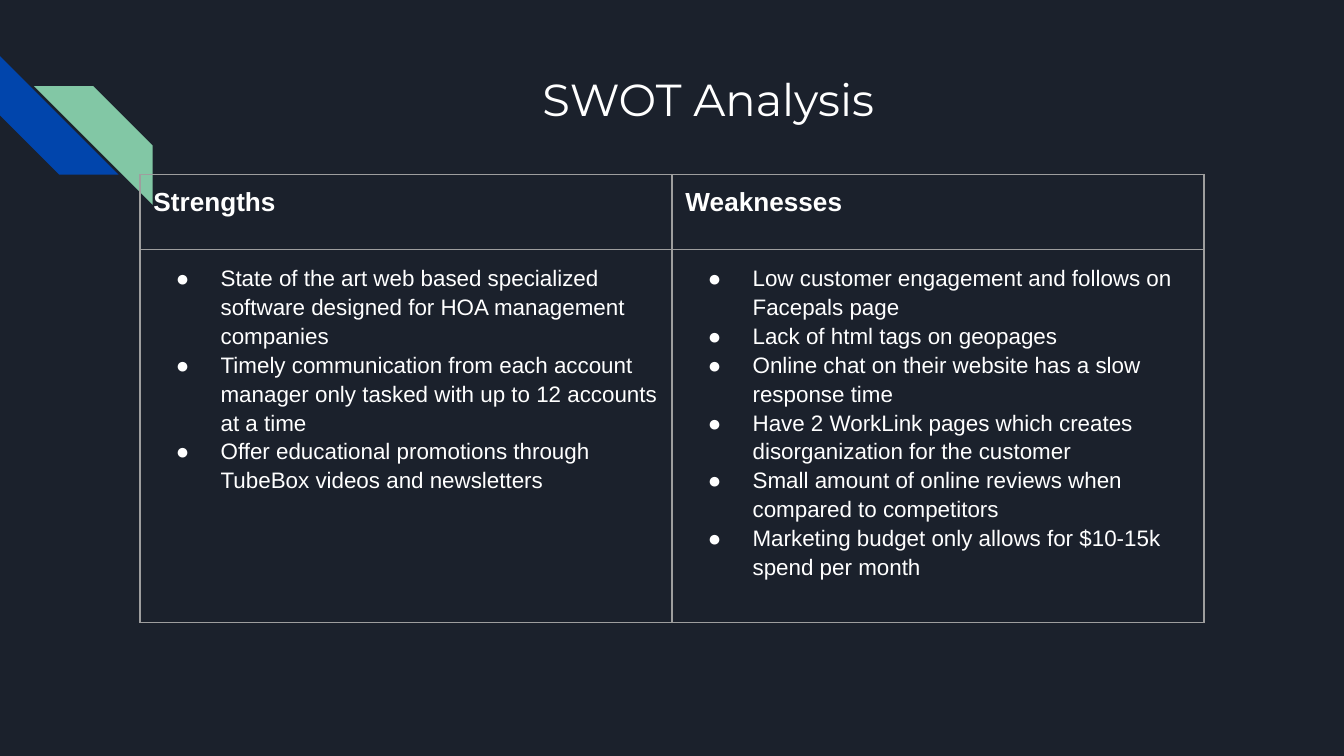
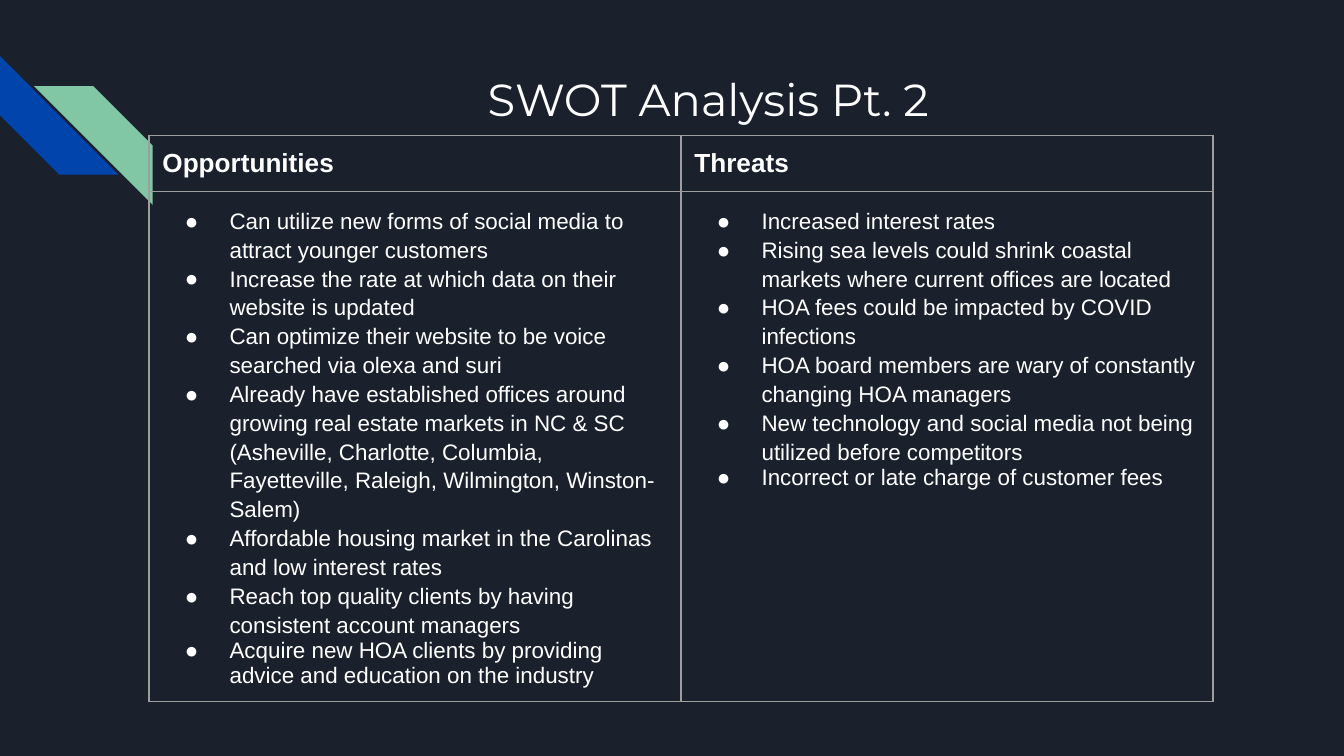
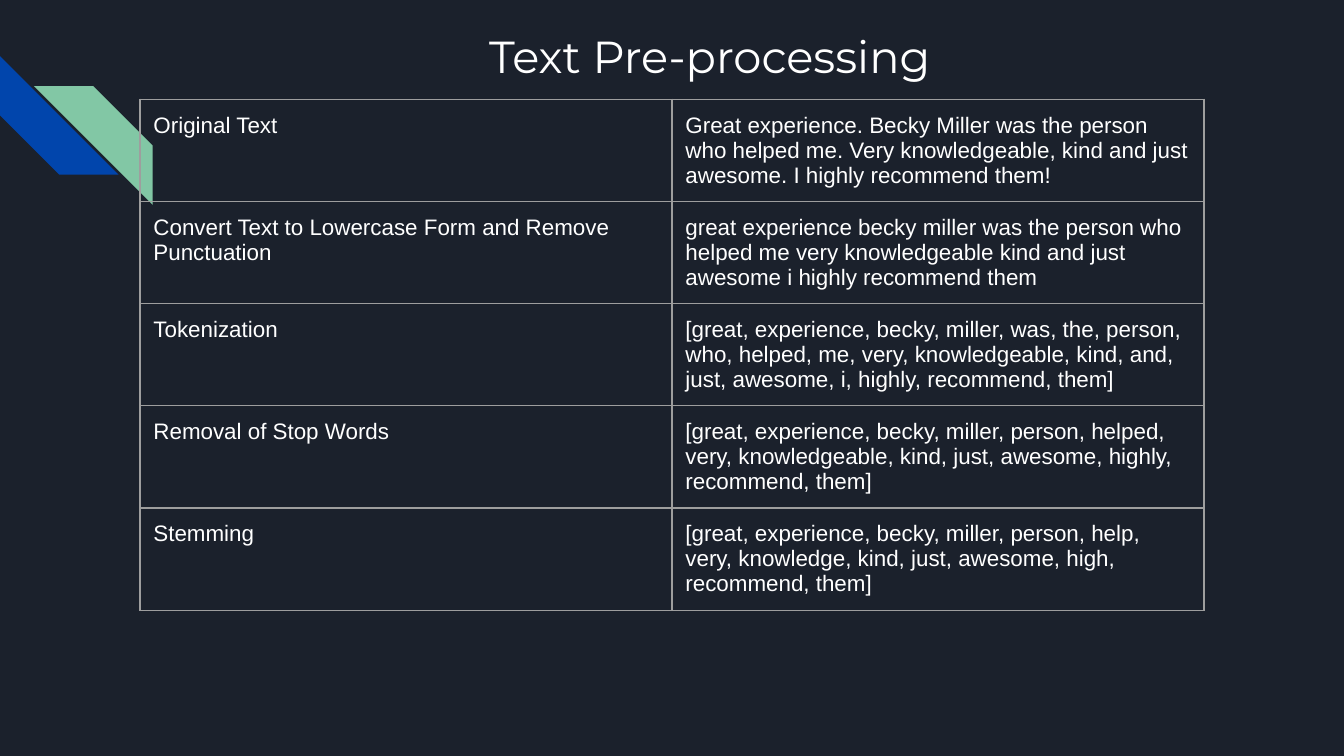
from lxml import etree
from pptx import Presentation
from pptx.dml.color import RGBColor
from pptx.enum import shapes, text
from pptx.oxml.ns import qn
from pptx.util import Pt

NIGHT = RGBColor(0x1B, 0x21, 0x2C)
BLUE = RGBColor(0x01, 0x45, 0xAC)
GREEN = RGBColor(0x82, 0xC7, 0xA5)
WHITE = RGBColor(0xFF, 0xFF, 0xFF)
GREY = RGBColor(0x9E, 0x9E, 0x9E)
HEAD, BODY = "Montserrat", "Arial"
INSET = 7.2
COL = 285

SWOT = [
    ("SWOT Analysis", (75, 93.6), (40, 200), False, {
        "Strengths": [
            "State of the art web based specialized software designed for HOA management companies",
            "Timely communication from each account manager only tasked with up to 12 accounts at a time",
            "Offer educational promotions through TubeBox videos and newsletters",
        ],
        "Weaknesses": [
            "Low customer engagement and follows on Facepals page",
            "Lack of html tags on geopages",
            "Online chat on their website has a slow response time",
            "Have 2 WorkLink pages which creates disorganization for the customer",
            "Small amount of online reviews when compared to competitors",
            "Marketing budget only allows for $10-15k spend per month",
        ],
    }),
    ("SWOT Analysis Pt. 2", (79.8, 72.6), (30, 155), True, {
        "Opportunities": [
            "Can utilize new forms of social media to attract younger customers",
            "Increase the rate at which data on their website is updated",
            "Can optimize their website to be voice searched via olexa and suri",
            "Already have established offices around growing real estate markets in NC & SC "
            "(Asheville, Charlotte, Columbia, Fayetteville, Raleigh, Wilmington, Winston-Salem)",
            "Affordable housing market in the Carolinas and low interest rates",
            "Reach top quality clients by having consistent account managers",
            "Acquire new HOA clients by providing advice and education on the industry",
        ],
        "Threats": [
            "Increased interest rates",
            "Rising sea levels could shrink coastal markets where current offices are located",
            "HOA fees could be impacted by COVID infections",
            "HOA board members are wary of constantly changing HOA managers",
            "New technology and social media not being utilized before competitors",
            "Incorrect or late charge of customer fees",
        ],
    }),
]

STEPS = [
    ("Original Text",
     "Great experience. Becky Miller was the person who helped me. Very knowledgeable, "
     "kind and just awesome. I highly recommend them!"),
    ("Convert Text to Lowercase Form and Remove Punctuation",
     "great experience becky miller was the person who helped me very knowledgeable "
     "kind and just awesome i highly recommend them"),
    ("Tokenization",
     "[great, experience, becky, miller, was, the, person, who, helped, me, very, "
     "knowledgeable, kind, and, just, awesome, i, highly, recommend, them]"),
    ("Removal of Stop Words",
     "[great, experience, becky, miller, person, helped, very, knowledgeable, kind, "
     "just, awesome, highly, recommend, them]"),
    ("Stemming",
     "[great, experience, becky, miller, person, help, very, knowledge, kind, just, "
     "awesome, high, recommend, them]"),
]


def style(para, size, name=BODY, bold=False):
    """Format every run of a paragraph."""
    for run in para.runs:
        font = run.font
        font.size, font.name, font.bold = Pt(size), name, bold
        font.color.rgb = WHITE


def pad(item):
    """Give a cell or text frame its margins."""
    item.margin_left = item.margin_right = Pt(INSET)
    item.margin_top = item.margin_bottom = Pt(INSET)


def draw_stripes(slide, left, top):
    """Draw the two corner stripes from the given point."""
    for x, y, turn, color in ((0, 0, 270, BLUE), (18.2, 16.2, 90, GREEN)):
        stripe = slide.shapes.add_shape(shapes.MSO_SHAPE.DIAGONAL_STRIPE,
                                        Pt(left + x), Pt(top + y), Pt(63.6), Pt(63.6))
        stripe.rotation = turn
        stripe.shadow.inherit = False
        stripe.fill.solid()
        stripe.fill.fore_color.rgb = color
        stripe.line.fill.background()


def start_slide(deck, words, left=102.2, top=31):
    """Add a slide with its stripes and its title at the given point."""
    slide = deck.slides.add_slide(deck.slide_layouts[5])
    draw_stripes(slide, 0, 30)
    title = slide.shapes.title
    title.left, title.top, title.width, title.height = Pt(left), Pt(top), Pt(554.4), Pt(72)
    frame = title.text_frame
    frame.text = words
    frame.word_wrap = True
    frame.auto_size = text.MSO_AUTO_SIZE.NONE
    frame.vertical_anchor = text.MSO_ANCHOR.TOP
    pad(frame)
    para = frame.paragraphs[0]
    para.alignment = text.PP_ALIGN.CENTER
    style(para, 24, HEAD)
    return slide


def add_bullet(para):
    """Hang a white round bullet on a paragraph."""
    props = para._p.get_or_add_pPr()
    props.set("marL", str(Pt(36)))
    props.set("indent", str(Pt(-24)))
    color = etree.SubElement(props, qn("a:buClr"))
    etree.SubElement(color, qn("a:srgbClr"), val=str(WHITE))
    etree.SubElement(props, qn("a:buFont"), typeface=BODY)
    etree.SubElement(props, qn("a:buChar"), char="●")


def frame_cell(cell):
    """Give a cell thin grey borders, margins and no fill."""
    props = cell._tc.get_or_add_tcPr()
    for side in ("a:lnL", "a:lnR", "a:lnT", "a:lnB"):
        line = etree.SubElement(props, qn(side), w=str(Pt(0.75)))
        fill = etree.SubElement(line, qn("a:solidFill"))
        etree.SubElement(fill, qn("a:srgbClr"), val=str(GREY))
    cell.fill.background()
    pad(cell)


def add_grid(slide, left, top, rows):
    """Add a two-column outlined table with the given row heights."""
    grid = slide.shapes.add_table(len(rows), 2, Pt(left), Pt(top),
                                  Pt(2 * COL), Pt(sum(rows))).table
    grid.first_row = grid.horz_banding = False
    for col in grid.columns:
        col.width = Pt(COL)
    for row, height in zip(grid.rows, rows):
        row.height = Pt(height)
    for cell in grid.iter_cells():
        frame_cell(cell)
    return grid


def fill_list(frame, items, tight):
    """Fill a frame with bullets, the last one single spaced if tight."""
    frame.text = "\n".join(items)
    paras = frame.paragraphs
    paras[0].space_before = Pt(12)
    for para in paras:
        if not (tight and para is paras[-1]):
            para.line_spacing = 1.15
        add_bullet(para)
        style(para, 12)


def swot_slide(deck, title, spot, rows, tight, lists):
    """Build a slide with two headed bullet lists."""
    grid = add_grid(start_slide(deck, title), *spot, rows)
    for col, (head, items) in enumerate(lists.items()):
        frame = grid.cell(0, col).text_frame
        frame.text = head
        style(frame.paragraphs[0], 14, bold=True)
        fill_list(grid.cell(1, col).text_frame, items, tight)


def steps_slide(deck):
    """Build the slide that lists each step beside its result."""
    slide = start_slide(deck, "Text Pre-processing", 103, 7.9)
    grid = add_grid(slide, 75, 53.2, [30] * len(STEPS))
    for row, pair in enumerate(STEPS):
        for col, words in enumerate(pair):
            frame = grid.cell(row, col).text_frame
            frame.text = words
            style(frame.paragraphs[0], 12)


def main():
    """Build and save the deck."""
    deck = Presentation()
    deck.slide_width, deck.slide_height = Pt(720), Pt(405)
    back = deck.slide_master.background.fill
    back.solid()
    back.fore_color.rgb = NIGHT
    for page in SWOT:
        swot_slide(deck, *page)
    steps_slide(deck)
    deck.save("out.pptx")


if __name__ == "__main__":
    main()
